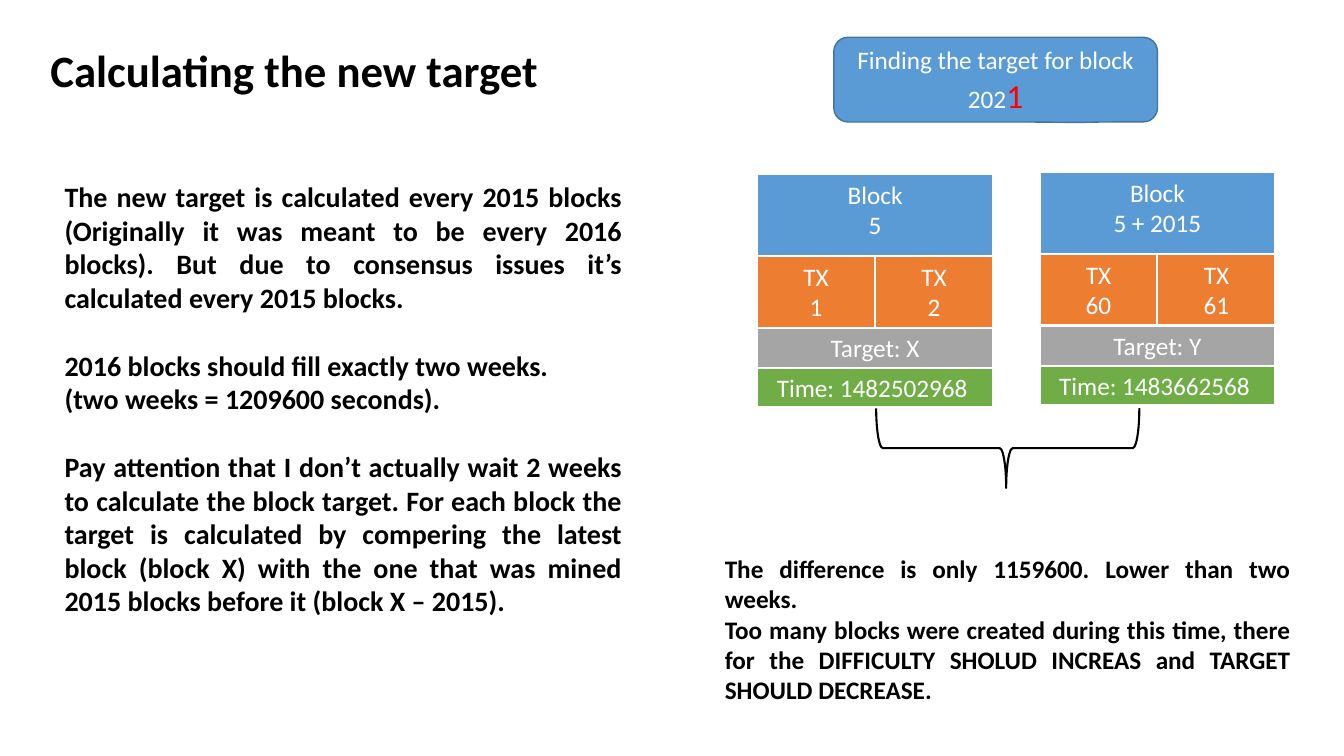
from pptx import Presentation
from pptx.dml.color import RGBColor
from pptx.enum.shapes import MSO_SHAPE
from pptx.enum.text import MSO_ANCHOR, PP_ALIGN
from pptx.util import Inches, Pt

RECT, CALLOUT, BRACE = MSO_SHAPE.RECTANGLE, MSO_SHAPE.ROUNDED_RECTANGULAR_CALLOUT, MSO_SHAPE.LEFT_BRACE
TOP, MIDDLE = MSO_ANCHOR.TOP, MSO_ANCHOR.MIDDLE
LEFT, CENTER, JUSTIFY = PP_ALIGN.LEFT, PP_ALIGN.CENTER, PP_ALIGN.JUSTIFY
COLORS = {"black": "000000", "white": "FFFFFF", "blue": "5B9BD5", "orange": "ED7D31",
          "gray": "A5A5A5", "green": "70AD47", "edge": "43739E", "red": "FF0000"}
COLORS = {name: RGBColor.from_string(value) for name, value in COLORS.items()}


def write(sp, paragraphs, size=18, color="white", bold=False, align=CENTER, anchor=TOP, gaps=()):
    """Fill a shape with paragraphs; those numbered in gaps get a line of space before."""
    tf = sp.text_frame
    tf.word_wrap = True
    tf.vertical_anchor = anchor
    for i, text in enumerate(paragraphs):
        p = tf.paragraphs[0] if i == 0 else tf.add_paragraph()
        pPr = p._p.get_or_add_pPr()
        pPr.set("marL", "0")
        pPr.set("indent", "0")
        p.alignment = align
        p.space_before = Pt(size * 1.22 if i in gaps else 0)
        pPr.insert_element_before(pPr.makeelement(
            "{http://schemas.openxmlformats.org/drawingml/2006/main}buNone", {}),
            "a:tabLst", "a:defRPr", "a:extLst")
        r = p.add_run()
        r.text = text
        r.font.name, r.font.size, r.font.bold = "Calibri", Pt(size), bold
        r.font.color.rgb = COLORS[color]
    return r


def add_box(kind, x, y, w, h, fill=None, line="white", width=1.5):
    sp = s.shapes.add_shape(kind, Inches(x), Inches(y), Inches(w), Inches(h))
    sp.shadow.inherit = False
    if fill:
        sp.fill.solid()
        sp.fill.fore_color.rgb = COLORS[fill]
    else:
        sp.fill.background()
    sp.line.color.rgb = COLORS[line]
    sp.line.width = Pt(width)
    return sp


prs = Presentation()
prs.slide_width, prs.slide_height = Inches(13.33), Inches(7.5)
s = prs.slides.add_slide(prs.slide_layouts[1])

# Title and explanation
title, body = s.placeholders
for sp, (x, y, w, h) in ((title, (0.4, 0.37, 5.26, 0.64)), (body, (0.54, 1.73, 5.73, 4.48))):
    sp.left, sp.top, sp.width, sp.height = Inches(x), Inches(y), Inches(w), Inches(h)
write(title, ["Calculating the new target"], size=32, color="black", bold=True, align=LEFT)
write(body, [
    "The new target is calculated every 2015 blocks (Originally it was meant to be every 2016 "
    "blocks). But due to consensus issues it’s calculated every 2015 blocks.",
    "2016 blocks should fill exactly two weeks.",
    "(two weeks = 1209600 seconds).",
    "Pay attention that I don’t actually wait 2 weeks to calculate the block target. For each "
    "block the target is calculated by compering the latest block (block X) with the one that "
    "was mined 2015 blocks before it (block X – 2015).",
], size=20, color="black", bold=True, align=JUSTIFY, gaps=(1, 3))

# Two blocks: header, transactions, target, time
BLOCK_W = 2.34
TX_W = BLOCK_W / 2
blocks = [
    (7.51, 1.73, "5", ("1", "2"), "X", "1482502968"),
    (10.31, 1.71, "5 + 2015", ("60", "61"), "Y", "1483662568"),
]
for x, y, number, transactions, target, time in blocks:
    write(add_box(RECT, x, y, BLOCK_W, 1.31, "blue"), ["Block", number])
    for i, tx in enumerate(transactions):
        write(add_box(RECT, x + i * TX_W, y + 0.81, TX_W, 0.71, "orange"), ["TX", tx])
    write(add_box(RECT, x, y + 1.91, BLOCK_W, 0.4, "green"), [f"Time: {time} "])
    write(add_box(RECT, x, y + 1.52, BLOCK_W, 0.4, "gray"), [f"Target: {target}"])

# Callout with the last digit highlighted
callout = add_box(CALLOUT, 8.27, 0.37, 3.21, 0.84, "blue", "edge", 1)
for i, value in enumerate((0.259, 0.506, 0.167)):
    callout.adjustments[i] = value
r = write(callout, ["Finding the target for block 202"], anchor=MIDDLE)
digit = callout.text_frame.paragraphs[0].add_run()
digit.text = "1"
digit.font.name, digit.font.size = r.font.name, Pt(24)
digit.font.color.rgb = COLORS["red"]

# Brace joining the two times
brace = add_box(BRACE, 9.6, 3.14, 0.79, 2.61, line="black")
brace.rotation = 270
brace.adjustments[0], brace.adjustments[1] = 0.083, 0.494

# Conclusion
conclusion = s.shapes.add_textbox(Inches(7.09), Inches(5.44), Inches(5.81), Inches(1.62))
write(conclusion, [
    "The difference is only 1159600. Lower than two weeks.",
    "Too many blocks were created during this time, there for the DIFFICULTY SHOLUD INCREAS "
    "and TARGET SHOULD DECREASE.",
], color="black", bold=True, align=JUSTIFY)

prs.save("out.pptx")
